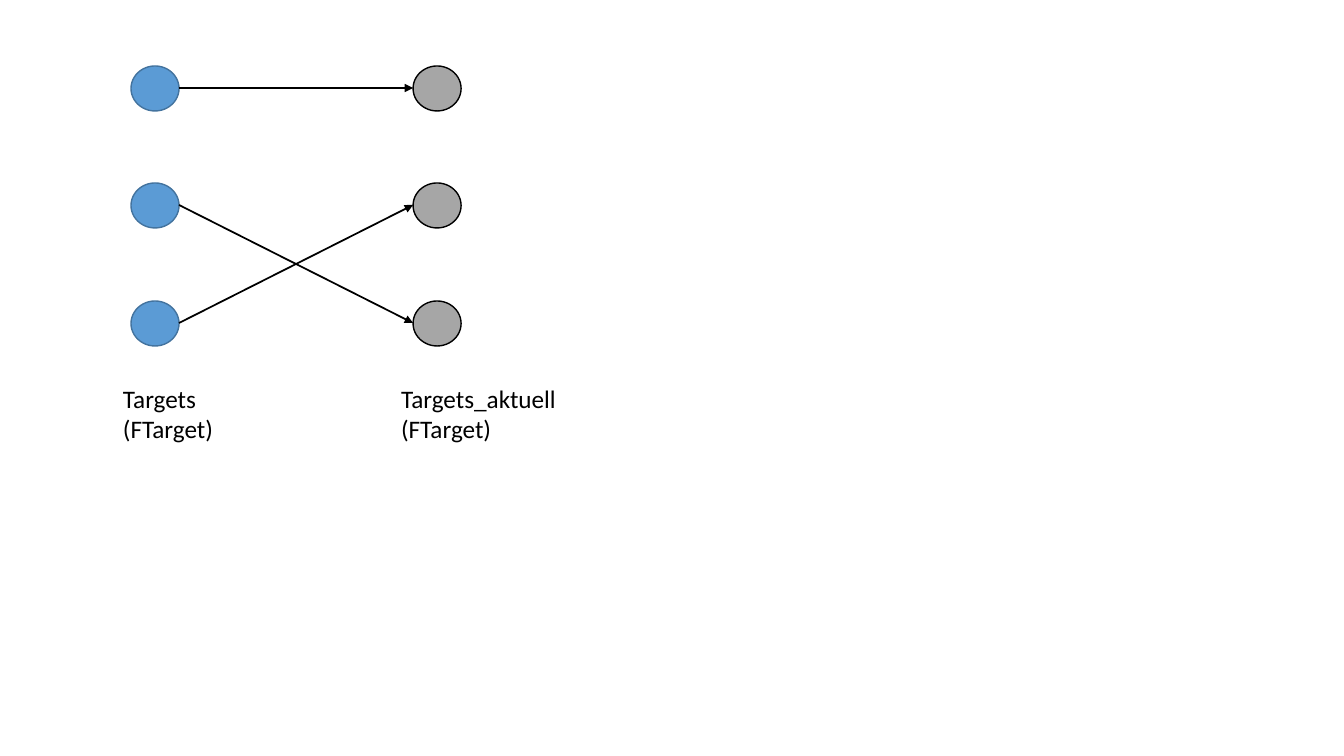
from lxml import etree
from pptx import Presentation
from pptx.dml.color import RGBColor
from pptx.enum.shapes import MSO_CONNECTOR, MSO_SHAPE
from pptx.enum.text import MSO_AUTO_SIZE
from pptx.oxml.ns import qn
from pptx.util import Emu, Inches, Pt

OVAL = MSO_SHAPE.OVAL
STRAIGHT = MSO_CONNECTOR.STRAIGHT
GROW = MSO_AUTO_SIZE.SHAPE_TO_FIT_TEXT
BLUE = RGBColor(0x5B, 0x9B, 0xD5)
DARK_BLUE = RGBColor(0x43, 0x73, 0x9E)
GRAY = RGBColor(0xA6, 0xA6, 0xA6)
BLACK = RGBColor(0, 0, 0)
FONT = "Calibri"
EMU_PER_PIXEL = Inches(1) / 100.8

TARGET_LEFT, CURRENT_LEFT = 131, 413
NODE_WIDTH, NODE_HEIGHT = 48, 45
NODE_TOPS = [66 + row * 235 // 2 for row in range(3)]
LABEL_TOP = 378
MATCHES = [(0, 0), (1, 2), (2, 1)]


def px(*lengths):
    """Turn pixel lengths into EMU."""
    return [Emu(round(length * EMU_PER_PIXEL)) for length in lengths]


class Canvas:
    """Draw styled nodes, labels and arrows on one slide."""

    def __init__(self, page):
        self.shapes = page.shapes

    def node(self, left, top, fill, outline):
        """Draw one target as an ellipse."""
        oval = self.shapes.add_shape(OVAL, *px(left, top, NODE_WIDTH, NODE_HEIGHT))
        oval.shadow.inherit = False
        oval.fill.solid()
        oval.fill.fore_color.rgb = fill
        oval.line.color.rgb = outline
        oval.line.width = Pt(1)

    def label(self, left, top, width, height, text):
        """Write a wrapping caption."""
        box = self.shapes.add_textbox(*px(left, top, width, height))
        frame = box.text_frame
        frame.word_wrap = True
        frame.auto_size = GROW
        frame.text = text
        font = frame.paragraphs[0].runs[0].font
        font.name, font.size = FONT, Pt(18)
        font.color.rgb = BLACK

    def arrow(self, start_x, start_y, end_x, end_y):
        """Draw a straight arrow with a triangular head at its end."""
        arrow = self.shapes.add_connector(STRAIGHT, *px(start_x, start_y, end_x, end_y))
        arrow.line.color.rgb = BLACK
        arrow.line.width = Pt(1.25)
        etree.SubElement(arrow.line._get_or_add_ln(), qn("a:tailEnd"), type="triangle")
        etree.SubElement(arrow._element.spPr, qn("a:effectLst"))


deck = Presentation()
deck.slide_width, deck.slide_height = Inches(13.33), Inches(7.5)
canvas = Canvas(deck.slides.add_slide(deck.slide_layouts[6]))

for column_left, fill, outline in [(TARGET_LEFT, BLUE, DARK_BLUE), (CURRENT_LEFT, GRAY, BLACK)]:
    for node_top in NODE_TOPS:
        canvas.node(column_left, node_top, fill, outline)

canvas.label(113, LABEL_TOP, 147, 72, "Targets (FTarget)")
canvas.label(391, LABEL_TOP, 210, 102, "Targets_aktuell (FTarget)")

node_centers = [top + NODE_HEIGHT // 2 for top in NODE_TOPS]
for target, current in MATCHES:
    canvas.arrow(TARGET_LEFT + NODE_WIDTH, node_centers[target], CURRENT_LEFT, node_centers[current])

deck.save("out.pptx")
